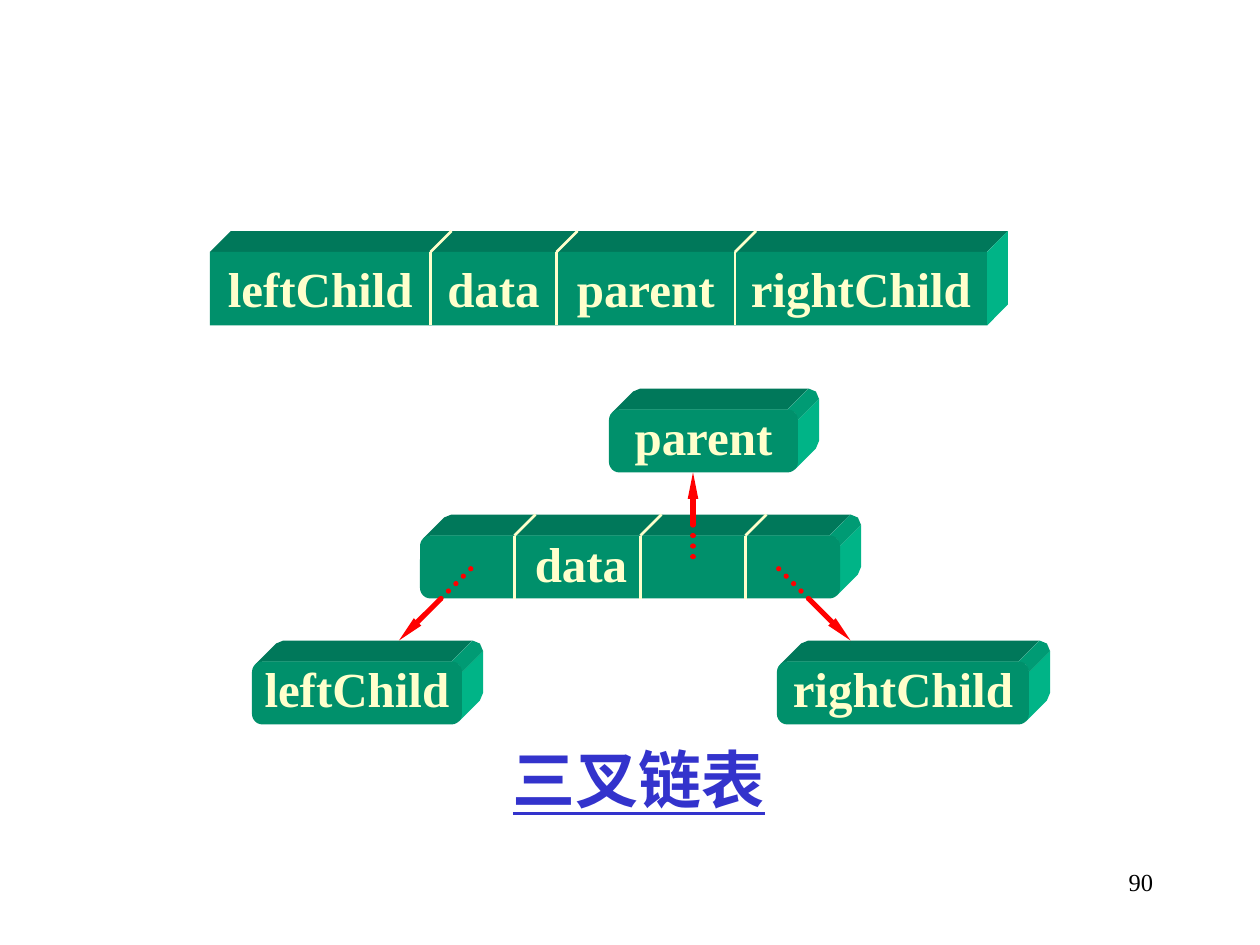
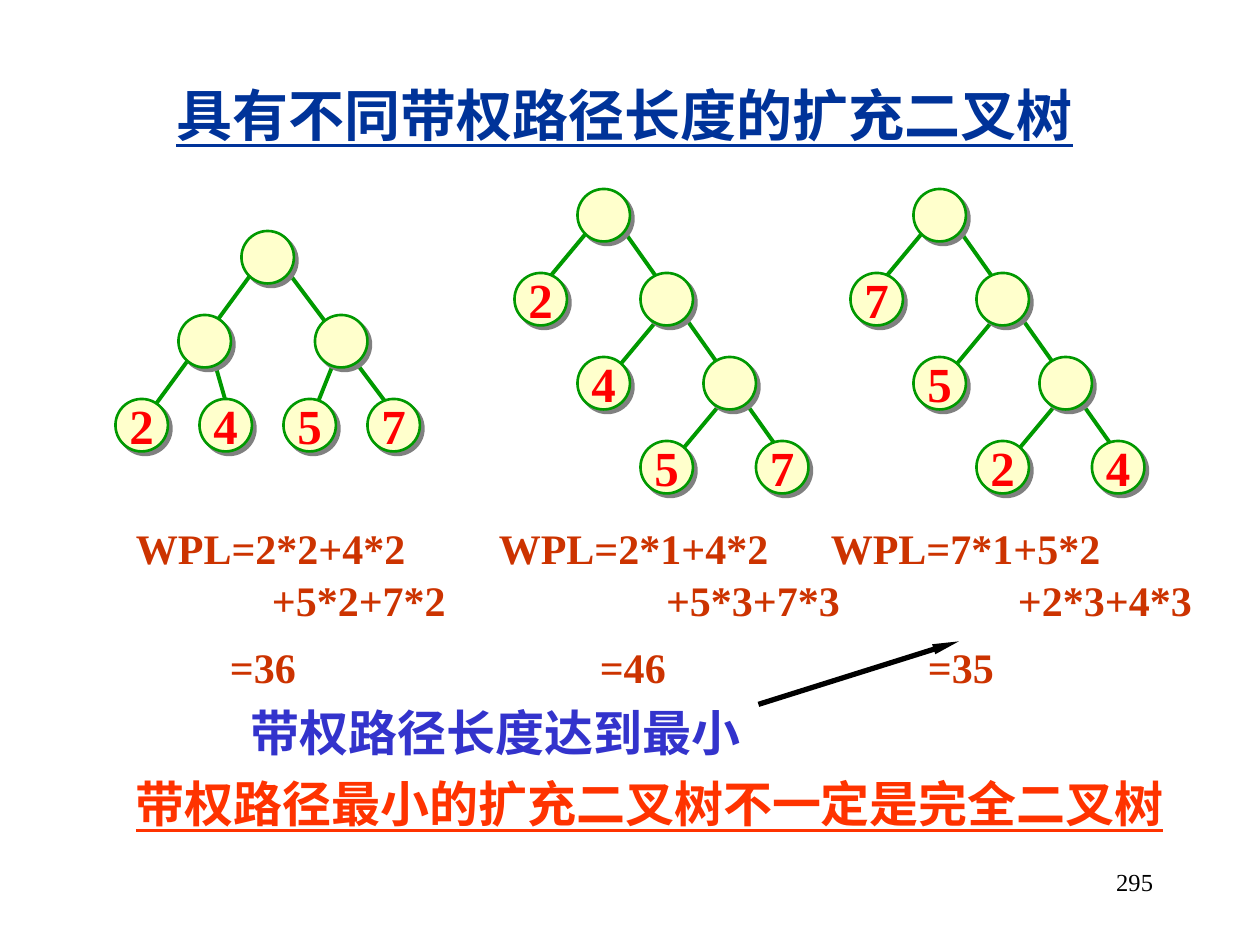
from pptx import Presentation
from pptx.dml.color import RGBColor
from pptx.enum.dml import MSO_LINE_DASH_STYLE as Dash
from pptx.enum.shapes import MSO_CONNECTOR as Connector, MSO_SHAPE as Shape
from pptx.enum.text import MSO_ANCHOR as Anchor, PP_ALIGN as Align
from pptx.oxml.ns import qn
from pptx.oxml.xmlchemy import OxmlElement
from pptx.util import Pt

LATIN_FONT, ASIAN_FONT = "Times New Roman", "Noto Sans CJK SC"
FRONT, TOP, CORNER, SIDE = "00906B", "00785A", "009B74", "00B487"
CREAM, RED, GREEN, GRAY = "FFFFCC", "FF0000", "009900", "808080"
BLUE, NAVY, BRICK, ORANGE, BLACK = "3333CC", "003399", "CC3300", "FF3300", "000000"
DEPTH = 12
NODE_SIZE = 30

SKEWED_NODES = [(0, 0), (36, 48), (72, 96)]
SKEWED_LEAVES = [(-36, 48), (0, 96), (36, 144), (102, 144)]
SKEWED_EDGES = [((6, 24), (-24, 60)), ((48, 72), (18, 108)),
                ((84, 120), (54, 156)), ((18, 12), (120, 156))]
BALANCED_NODES = [(0, 0), (-36, 48), (42, 48)]
BALANCED_LEAVES = [(-72 + 48 * i, 96) for i in range(4)]
BALANCED_EDGES = [((18, 12), (90, 108)), ((54, 72), (42, 102)),
                  ((-18, 66), (-6, 108)), ((6, 24), (-60, 114))]

WPL_LINES = [
    ("WPL=2*2+4*2\tWPL=2*1+4*2\tWPL=7*1+5*2", (207.4, 397.1), 0),
    ("\t+5*2+7*2\t+5*3+7*3\t+2*3+4*3", (77.7, 302.9, 504), 1),
    ("\t=36\t=46\t=35", (53.7, 265.1, 452.6), 9.5),
]


def color(value):
    return RGBColor.from_string(value)


def add_xml(parent, tag, **attributes):
    element = OxmlElement(tag)
    for name, value in attributes.items():
        element.set(name, str(value))
    parent.append(element)
    return element


def set_tabs(paragraph, positions):
    tabs = add_xml(paragraph._p.get_or_add_pPr(), "a:tabLst")
    for position in positions:
        add_xml(tabs, "a:tab", pos=Pt(position), algn="l")


def style(paragraph, size, ink, bold=True, underline=None, align=Align.LEFT):
    paragraph.alignment = align
    font = paragraph.font
    font.size, font.bold, font.underline = Pt(size), bold, underline
    font.color.rgb = color(ink)
    font.name = LATIN_FONT
    defaults = paragraph._p.pPr.find(qn("a:defRPr"))
    add_xml(defaults, "a:ea", typeface=ASIAN_FONT)


def add_box(slide, left, top, width, height, anchor=Anchor.MIDDLE):
    box = slide.shapes.add_textbox(Pt(left), Pt(top), Pt(width), Pt(height))
    frame = box.text_frame
    frame.word_wrap = True
    frame.vertical_anchor = anchor
    return frame


def add_text(slide, text, left, top, width, height, size, ink,
             anchor=Anchor.MIDDLE, **options):
    paragraph = add_box(slide, left, top, width, height, anchor).paragraphs[0]
    paragraph.text = text
    style(paragraph, size, ink, **options)


def add_label(slide, text, center_x, center_y):
    add_text(slide, text, center_x - 80, center_y - 20, 160, 40, 28, CREAM,
             align=Align.CENTER)


def add_page_number(slide, number):
    add_text(slide, number, 516, 492, 150, 36, 14, BLACK,
             anchor=Anchor.TOP, bold=False, align=Align.RIGHT)


def add_line(slide, start, end, ink, width, arrow=False, dotted=False):
    line = slide.shapes.add_connector(
        Connector.STRAIGHT, *(Pt(value) for value in (*start, *end)))
    line.line.color.rgb = color(ink)
    line.line.width = Pt(width)
    outline = line.line._get_or_add_ln()
    if dotted:
        line.line.dash_style = Dash.ROUND_DOT
        outline.set("cap", "rnd")
    if arrow:
        add_xml(outline, "a:tailEnd", type="triangle", w="sm", len="lg")
    add_xml(line._element.spPr, "a:effectLst")


def paint(shape, fill):
    shape.shadow.inherit = False
    shape.fill.solid()
    shape.fill.fore_color.rgb = color(fill)
    shape.line.fill.background()


def add_face(slide, points, fill):
    corners = [(Pt(x), Pt(y)) for x, y in points]
    builder = slide.shapes.build_freeform(*corners[0])
    builder.add_line_segments(corners[1:], close=True)
    paint(builder.convert_to_shape(), fill)


def push_back(points):
    return [(x + DEPTH, y - DEPTH) for x, y in points]


def add_block(slide, left, top, width, height, radius=6):
    right, bottom = left + width, top + height
    bend = radius * 0.29
    top_edge = [(left + bend, top + bend), (left + radius, top), (right - radius, top)]
    corner_edge = [(right - radius, top), (right - bend, top + bend), (right, top + radius)]
    side_edge = [(right, top + radius), (right, bottom - radius),
                 (right - bend, bottom - bend)]
    faces = [(top_edge, TOP), (side_edge, SIDE)]
    if radius:
        faces.append((corner_edge, CORNER))
    for edge, fill in faces:
        add_face(slide, edge + push_back(edge)[::-1], fill)
    kind = Shape.ROUNDED_RECTANGLE if radius else Shape.RECTANGLE
    front = slide.shapes.add_shape(kind, Pt(left), Pt(top), Pt(width), Pt(height))
    if radius:
        front.adjustments[0] = radius / height
    paint(front, FRONT)


def add_dividers(slide, positions, top, bottom):
    for x in positions:
        add_line(slide, (x, bottom), (x, top), CREAM, 1.5)
        add_line(slide, (x, top), (x + DEPTH, top - DEPTH), CREAM, 1.5)


def add_pointer(slide, source, border, target):
    add_line(slide, border, target, RED, 3, arrow=True)
    add_line(slide, border, source, RED, 3, dotted=True)


def add_node(slide, left, top, text=""):
    node = slide.shapes.add_shape(
        Shape.OVAL, Pt(left), Pt(top), Pt(NODE_SIZE), Pt(NODE_SIZE))
    paint(node, CREAM)
    node.line.color.rgb = color(GREEN)
    node.line.width = Pt(1.5)
    effects = node._element.spPr.find(qn("a:effectLst"))
    shadow = add_xml(effects, "a:outerShdw", dist=Pt(2.8), dir=2700000,
                     algn="ctr", rotWithShape=0)
    add_xml(shadow, "a:srgbClr", val=GRAY)
    if text:
        frame = node.text_frame
        frame.word_wrap = False
        frame.margin_left = frame.margin_right = 0
        frame.margin_top = frame.margin_bottom = 0
        frame.vertical_anchor = Anchor.MIDDLE
        frame.text = text
        style(frame.paragraphs[0], 28, RED, align=Align.CENTER)


def add_tree(slide, left, top, nodes, leaves, edges, weights):
    for (x1, y1), (x2, y2) in edges:
        add_line(slide, (left + x1, top + y1), (left + x2, top + y2), GREEN, 2.25)
    for x, y in nodes:
        add_node(slide, left + x, top + y)
    for (x, y), weight in zip(leaves, weights):
        add_node(slide, left + x, top + y, weight)


def add_formulas(slide):
    frame = add_box(slide, 70.6, 295, 640, 105, Anchor.TOP)
    for index, (text, tabs, before) in enumerate(WPL_LINES):
        paragraph = frame.add_paragraph() if index else frame.paragraphs[0]
        paragraph.text = text
        if before:
            paragraph.space_before = Pt(before)
        set_tabs(paragraph, tabs)
        style(paragraph, 24, BRICK)


def build_linked_list(slide):
    add_block(slide, 120, 144, 444, 42, radius=0)
    borders = [120, 246, 318, 420, 564]
    add_dividers(slide, borders[1:-1], 144, 186)
    fields = ["leftChild", "data", "parent", "rightChild"]
    for field, left, right in zip(fields, borders, borders[1:]):
        add_label(slide, field, (left + right) / 2, 164.5)

    add_block(slide, 240, 306, 240, 36)
    add_dividers(slide, (294, 366, 426), 306, 342)
    add_label(slide, "data", 332, 321.5)
    for text, left, top, width in [("parent", 348, 234, 108),
                                   ("leftChild", 144, 378, 120),
                                   ("rightChild", 444, 378, 144)]:
        add_block(slide, left, top, width, 36)
        add_label(slide, text, left + width / 2, top + 15)

    add_pointer(slide, (396, 324), (396, 300), (396, 270))
    add_pointer(slide, (270, 324), (252, 342), (228, 366))
    add_pointer(slide, (444, 324), (462, 342), (486, 366))
    add_text(slide, "三叉链表", 279.4, 419.8, 171.4, 50.4, 36, BLUE,
             underline=True, align=Align.CENTER)
    add_page_number(slide, "90")


def build_weighted_paths(slide):
    add_text(slide, "具有不同带权路径长度的扩充二叉树", 93.6, 42.4, 533, 46, 32, NAVY,
             underline=True)
    add_tree(slide, 138, 132, BALANCED_NODES, BALANCED_LEAVES, BALANCED_EDGES, "2457")
    for left, weights in ((330, "2457"), (522, "7524")):
        add_tree(slide, left, 108, SKEWED_NODES, SKEWED_LEAVES, SKEWED_EDGES, weights)
    add_formulas(slide)
    add_text(slide, "带权路径长度达到最小", 136.2, 398.5, 320, 40, 28, BLUE)
    add_text(slide, "带权路径最小的扩充二叉树不一定是完全二叉树", 70.6, 439, 635, 40, 28, ORANGE,
             underline=True)
    add_line(slide, (433.4, 402.5), (547.9, 366.5), BLACK, 3, arrow=True)
    add_page_number(slide, "295")


def main():
    presentation = Presentation()
    presentation.slide_width, presentation.slide_height = Pt(720), Pt(540)
    blank = presentation.slide_layouts[6]
    for build in (build_linked_list, build_weighted_paths):
        build(presentation.slides.add_slide(blank))
    presentation.save("out.pptx")


if __name__ == "__main__":
    main()
